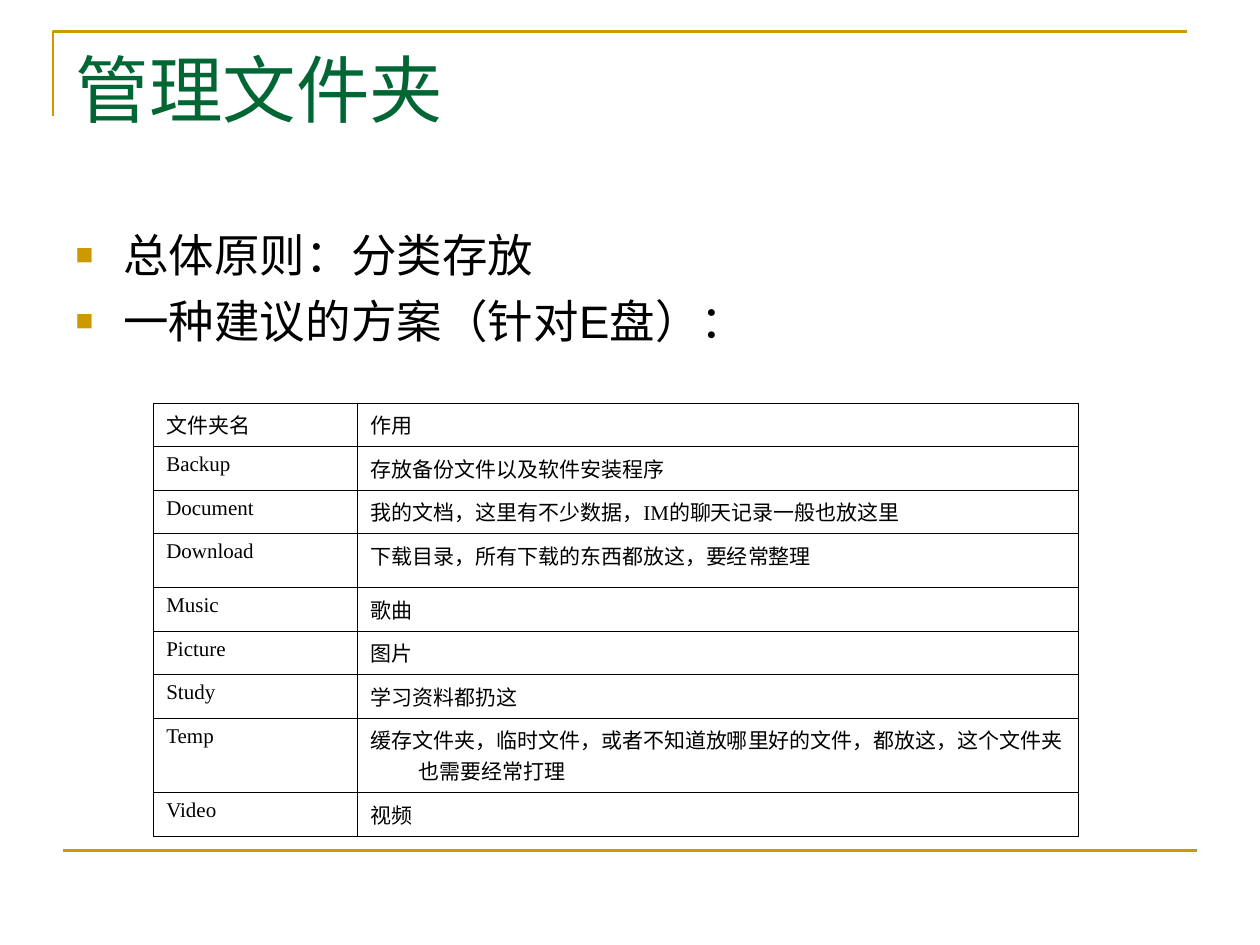
from lxml.etree import SubElement
from pptx import Presentation
from pptx.dml.color import RGBColor
from pptx.enum.shapes import MSO_CONNECTOR
from pptx.enum.text import MSO_ANCHOR, MSO_AUTO_SIZE, PP_ALIGN
from pptx.oxml.ns import qn
from pptx.util import Inches, Pt

# Content
TITLE = "管理文件夹"
PRINCIPLES = ["总体原则：分类存放", "一种建议的方案（针对E盘）："]
FOLDERS = [
    ("文件夹名", "作用"),
    ("Backup", "存放备份文件以及软件安装程序"),
    ("Document", "我的文档，这里有不少数据，IM的聊天记录一般也放这里"),
    ("Download", "下载目录，所有下载的东西都放这，要经常整理"),
    ("Music", "歌曲"),
    ("Picture", "图片"),
    ("Study", "学习资料都扔这"),
    ("Temp", "缓存文件夹，临时文件，或者不知道放哪里好的文件，都放这，这个文件夹也需要经常打理"),
    ("Video", "视频"),
]
COLUMN_WIDTHS = (1.62, 5.72)
ROW_HEIGHT = 0.345
TALL_ROWS = {"Download": 0.43, "Temp": 0.59}

# Style
GOLD = RGBColor(0xCC, 0x99, 0x00)
GREEN = RGBColor(0x00, 0x66, 0x33)
BLACK = RGBColor(0x00, 0x00, 0x00)
SERIF, SANS = "Times New Roman", "Arial"
HANG = 0.38


def write(frame, lines, *, size, font, color=BLACK, hang=0, bullet=None, gap=0):
    """Fill a text frame with one paragraph per line."""
    for index, line in enumerate(lines):
        paragraph = frame.paragraphs[0] if index == 0 else frame.add_paragraph()
        paragraph.alignment = PP_ALIGN.LEFT
        paragraph.space_before = Pt(gap if index else 0)
        props = paragraph._p.get_or_add_pPr()
        props.set("marL", str(Inches(hang)))
        props.set("indent", str(-Inches(hang)))
        if bullet:
            bullet_color = SubElement(props, qn("a:buClr"))
            SubElement(bullet_color, qn("a:srgbClr"), val=str(GOLD))
            SubElement(props, qn("a:buSzPct"), val="65000")
            SubElement(props, qn("a:buFont"), typeface=SANS)
            SubElement(props, qn("a:buChar"), char=bullet)
        run = paragraph.add_run()
        run.text = line
        run.font.size = Pt(size)
        run.font.name = font
        run.font.color.rgb = color


def place(holder, left, top, width, height):
    """Move a placeholder and start its text at the top."""
    holder.left, holder.top = Inches(left), Inches(top)
    holder.width, holder.height = Inches(width), Inches(height)
    frame = holder.text_frame
    frame.word_wrap = True
    frame.auto_size = MSO_AUTO_SIZE.NONE
    frame.vertical_anchor = MSO_ANCHOR.TOP
    return frame


def border(cell):
    """Draw a thin black line on each side of a cell."""
    props = cell._tc.get_or_add_tcPr()
    for side in ("a:lnL", "a:lnR", "a:lnT", "a:lnB"):
        edge = SubElement(props, qn(side), w=str(Pt(0.45)))
        fill = SubElement(edge, qn("a:solidFill"))
        SubElement(fill, qn("a:srgbClr"), val=str(BLACK))


def gold_line(shape):
    shape.line.color.rgb = GOLD
    shape.line.width = Pt(1.5)


deck = Presentation()
deck.slide_width, deck.slide_height = Inches(10), Inches(7.5)
slide = deck.slides.add_slide(deck.slide_layouts[1])

# Frame lines
builder = slide.shapes.build_freeform(Inches(0.42), Inches(0.92))
builder.add_line_segments(
    [(Inches(0.42), Inches(0.25)), (Inches(9.42), Inches(0.25))], close=False)
corner = builder.convert_to_shape()
corner.fill.background()
corner.shadow.inherit = False
gold_line(corner)

footer_rule = slide.shapes.add_connector(
    MSO_CONNECTOR.STRAIGHT, Inches(0.5), Inches(6.75), Inches(9.5), Inches(6.75))
gold_line(footer_rule)
SubElement(footer_rule._element.spPr, qn("a:effectLst"))

# Title and principles
heading, principles = slide.placeholders
write(place(heading, 0.5, 0.3, 9, 1.25), [TITLE],
      size=42, font=SERIF, color=GREEN)
write(place(principles, 0.5, 1.75, 8.04, 1.76), PRINCIPLES,
      size=26, font=SANS, hang=HANG, bullet="■", gap=6.5)

# Folder table
heights = [TALL_ROWS.get(name, ROW_HEIGHT) for name, _ in FOLDERS]
folder_table = slide.shapes.add_table(
    len(FOLDERS), len(COLUMN_WIDTHS), Inches(1.22), Inches(3.2),
    Inches(sum(COLUMN_WIDTHS)), Inches(sum(heights))).table
folder_table.first_row = folder_table.horz_banding = False
for column, width in zip(folder_table.columns, COLUMN_WIDTHS):
    column.width = Inches(width)
for row, height, texts in zip(folder_table.rows, heights, FOLDERS):
    row.height = Inches(height)
    for cell, text in zip(row.cells, texts):
        border(cell)
        cell.fill.background()
        cell.margin_left = cell.margin_right = Inches(0.1)
        cell.margin_top = cell.margin_bottom = Inches(0.05)
        write(cell.text_frame, [text], size=12, font=SERIF, hang=HANG)

deck.save("out.pptx")
